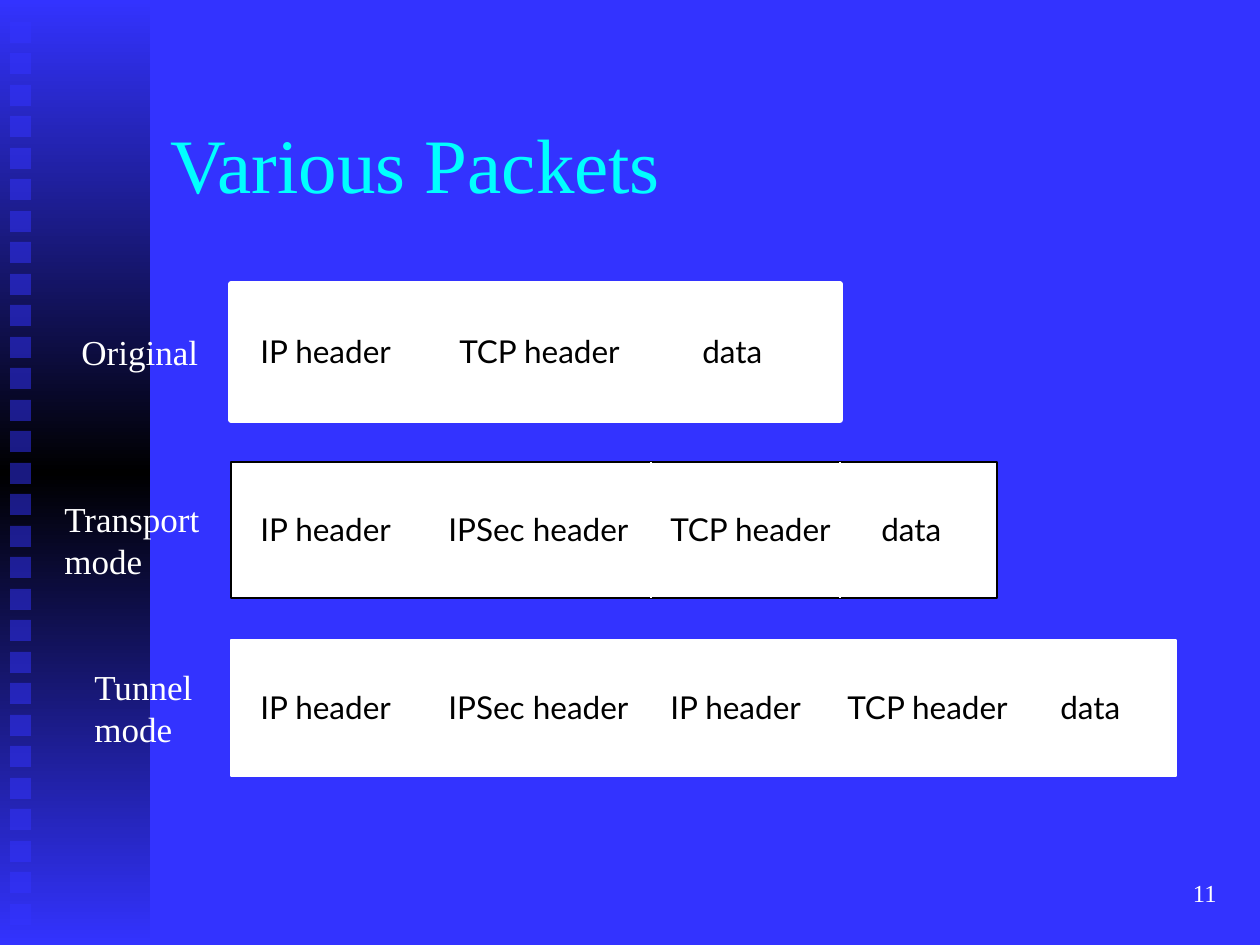
"""Build the slide that compares original, transport and tunnel mode packets."""
import copy

import pptx
import pptx.dml.color
import pptx.enum.shapes
import pptx.enum.text
import pptx.oxml
import pptx.oxml.ns
import pptx.util

RGB = pptx.dml.color.RGBColor
BLUE = RGB(0x33, 0x33, 0xFF)
BLACK = RGB(0, 0, 0)
WHITE = RGB(0xFF, 0xFF, 0xFF)
CYAN = RGB(0, 0xFF, 0xFF)
SERIF, SANS = "Times New Roman", "Lato"
RECT = pptx.enum.shapes.MSO_SHAPE.RECTANGLE
LINE = pptx.enum.shapes.MSO_CONNECTOR.STRAIGHT
MIDDLE = pptx.enum.text.MSO_ANCHOR.MIDDLE
TOP = pptx.enum.text.MSO_ANCHOR.TOP
LEFT = pptx.enum.text.PP_ALIGN.LEFT
RIGHT = pptx.enum.text.PP_ALIGN.RIGHT
SCALE = 914400 / 126

TITLE = "Various Packets"
NUMBER = "11"
IP, TCP, SEC, DATA = "IP header", "TCP header", "IPSec header", "data"
WIDTHS = {IP: 168, TCP: 194, SEC: 218, DATA: 91}
PACKETS = [
    {"name": "Original", "at": (69, 40, 142, 56), "width": 609,
     "line": (WHITE, 3), "cuts": [431],
     "parts": [(IP, 248), (TCP, 447), (DATA, 690)]},
    {"name": "Transport\nmode", "at": (52, 29, 161, 97), "width": 766,
     "line": (BLACK, 0.75), "cuts": [651, 840],
     "parts": [(IP, 248), (SEC, 436), (TCP, 658), (DATA, 869)]},
    {"name": "Tunnel\nmode", "at": (82, 19, 125, 97), "width": 945,
     "line": (WHITE, 0.75), "cuts": [431, 651, 840, 1029],
     "parts": [(IP, 248), (SEC, 436), (IP, 658), (TCP, 835), (DATA, 1048)]},
]
ROW_LEFT, ROW_TOP, ROW_STEP, ROW_HIGH = 231, 284, 178, 136
SQUARES, SQUARE = 29, 21


def emu(*sizes):
    return [round(size * SCALE) for size in sizes]


def write(frame, text, size=18, font=SANS, color=BLACK, align=LEFT,
          anchor=TOP, wrap=False):
    frame.word_wrap = wrap
    frame.vertical_anchor = anchor
    frame.text = text
    for para in frame.paragraphs:
        para.alignment = align
        para.font.size = pptx.util.Pt(size)
        para.font.name = font
        para.font.color.rgb = color


def label(slide, at, text, **style):
    write(slide.shapes.add_textbox(*emu(*at)).text_frame, text, **style)


def block(slide, *at):
    shape = slide.shapes.add_shape(RECT, *emu(*at))
    shape.shadow.inherit = False
    shape.line.fill.background()
    return shape


def divide(slide, left, top):
    line = slide.shapes.add_connector(
        LINE, *emu(left, top, left, top + ROW_HIGH))
    line.line.color.rgb = WHITE
    line.line.width = pptx.util.Pt(0.75)
    pptx.oxml.ns.qn("a:effectLst")
    line._element.spPr.append(pptx.oxml.parse_xml(
        f"<a:effectLst {pptx.oxml.ns.nsdecls('a')}/>"))


def edge(slide):
    fill = block(slide, 0, 0, 150, 945).fill
    fill.gradient()
    fill.gradient_angle = 90
    first, last = fill.gradient_stops
    first.color.rgb, last.color.rgb = BLACK, BLUE
    start = first._gs
    middle = copy.deepcopy(start)
    middle.set("pos", "50000")
    start.addnext(middle)
    first.color.rgb = BLUE
    for index in range(SQUARES):
        fill = block(slide, 10, 22 + index * 63 // 2, SQUARE, SQUARE).fill
        fill.solid()
        fill.fore_color.rgb = BLUE
        tint = fill._xPr.find(".//" + pptx.oxml.ns.qn("a:srgbClr"))
        alpha = tint.makeelement(pptx.oxml.ns.qn("a:alpha"), {"val": "50000"})
        tint.append(alpha)


def draw(slide, packet, top):
    bar = block(slide, ROW_LEFT, top, packet["width"], ROW_HIGH)
    bar.fill.solid()
    bar.fill.fore_color.rgb = WHITE
    color, width = packet["line"]
    bar.line.color.rgb = color
    bar.line.width = pptx.util.Pt(width)
    for cut in packet["cuts"]:
        divide(slide, cut, top)
    for text, left in packet["parts"]:
        label(slide, (left, top + 42, WIDTHS[text], 50), text)
    left, drop, wide, high = packet["at"]
    label(slide, (left, top + drop, wide, high), packet["name"],
          size=20, font=SERIF, color=WHITE)


def main():
    deck = pptx.Presentation()
    deck.slide_width, deck.slide_height = emu(1260, 945)
    slide = deck.slides.add_slide(deck.slide_layouts[5])
    slide.background.fill.solid()
    slide.background.fill.fore_color.rgb = BLUE
    edge(slide)
    title = slide.shapes.title
    title.left, title.top, title.width, title.height = emu(158, 84, 1071, 158)
    write(title.text_frame, TITLE, size=44, font=SERIF, color=CYAN,
          anchor=MIDDLE, wrap=True)
    label(slide, (966, 861, 263, 63), NUMBER, size=14, font=SERIF,
          color=WHITE, align=RIGHT, anchor=MIDDLE, wrap=True)
    for row, packet in enumerate(PACKETS):
        draw(slide, packet, ROW_TOP + row * ROW_STEP)
    deck.save("out.pptx")


if __name__ == "__main__":
    main()
